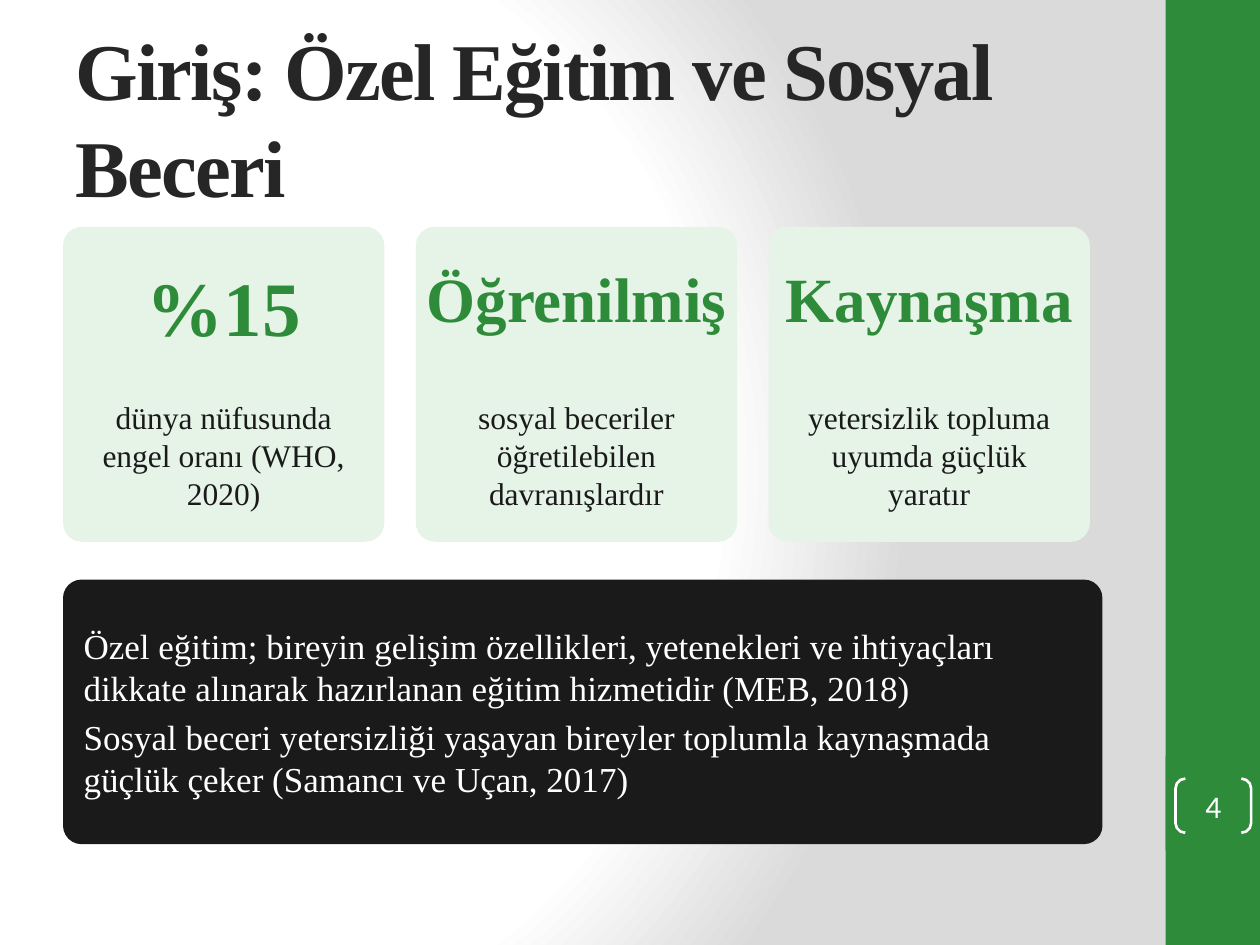
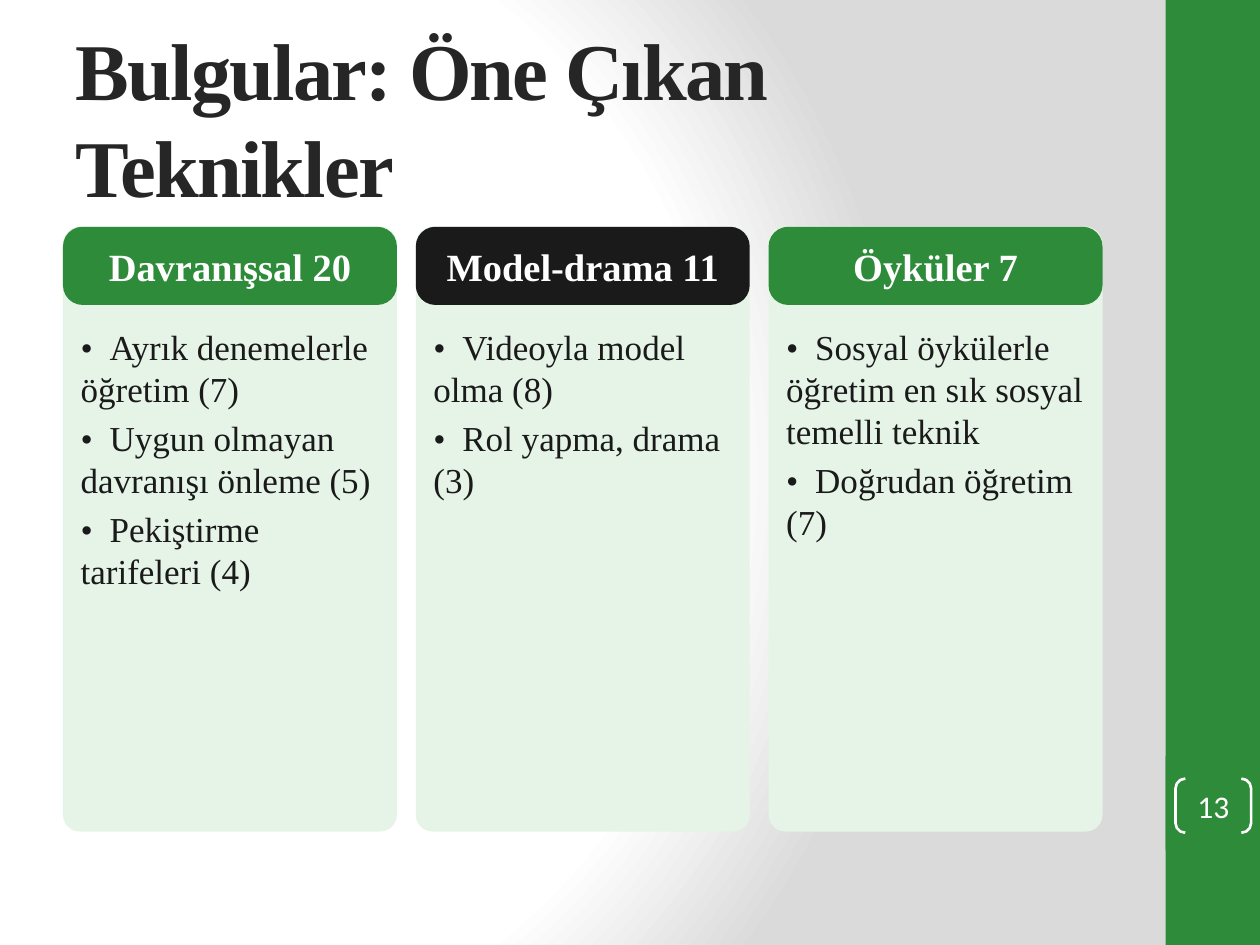
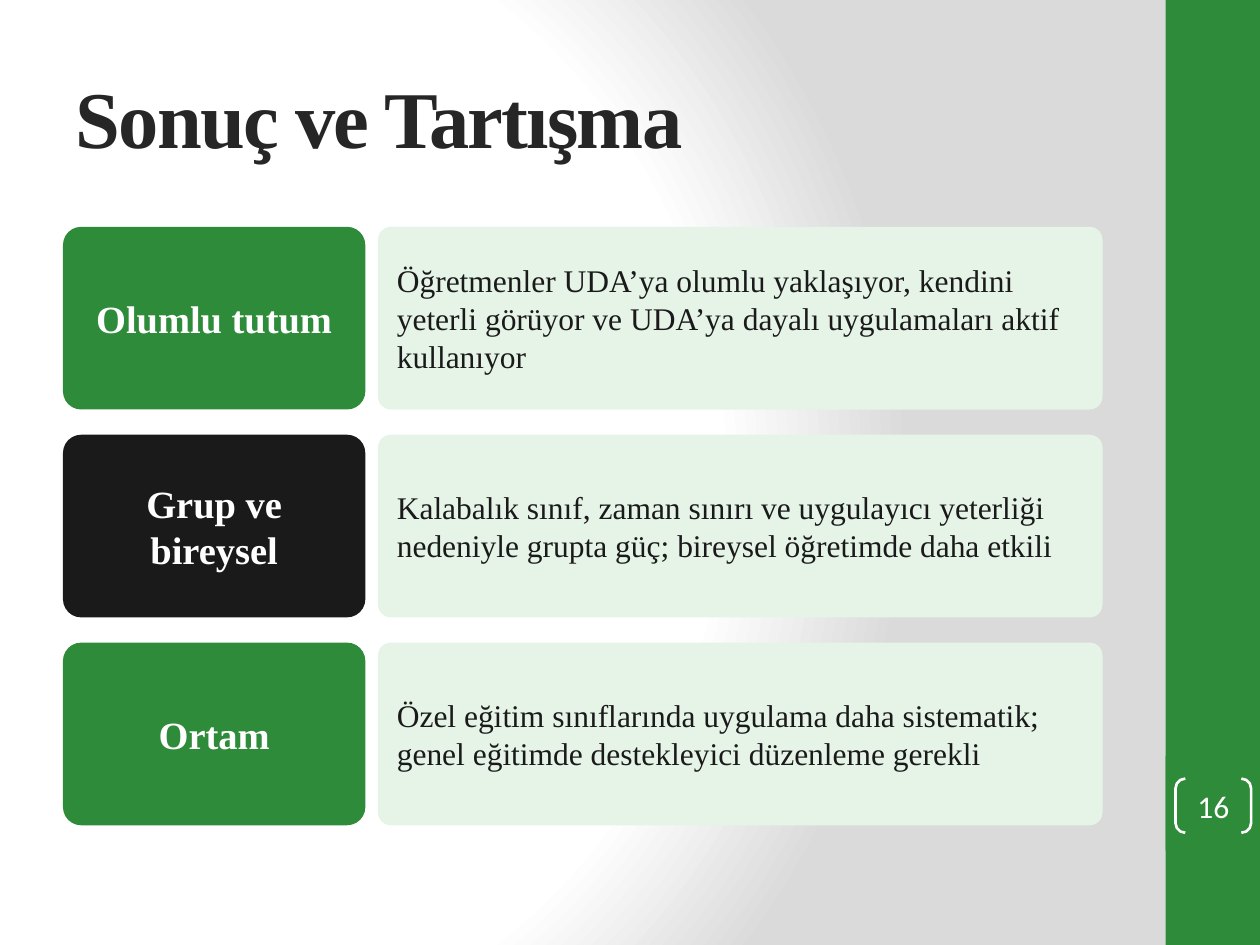
"""Builds three slides on special education and social skills."""
import lxml.etree
import pptx
import pptx.dml.color
import pptx.enum.shapes
import pptx.enum.text
import pptx.oxml
import pptx.oxml.ns
import pptx.util

PX = 9144
GREEN, DARK, PALE, WHITE = "2E8B3A", "1A1A1A", "E6F4E8", "FFFFFF"
TITLE_COLOR, GRAY = "262626", "DADADA"
SERIF, SANS = "Times New Roman", "Calibri"
LEFT, TOP, COLUMN_STEP = 50, 180, 280
SHAPES = pptx.enum.shapes.MSO_SHAPE
ALIGN = pptx.enum.text.PP_ALIGN
ANCHOR = pptx.enum.text.MSO_ANCHOR
BACKGROUND = f"""<a:gradFill {pptx.oxml.ns.nsdecls("a")} rotWithShape="1"><a:gsLst>
<a:gs pos="0"><a:srgbClr val="{WHITE}"/></a:gs>
<a:gs pos="75000"><a:srgbClr val="{WHITE}"/></a:gs>
<a:gs pos="100000"><a:srgbClr val="{GRAY}"/></a:gs></a:gsLst>
<a:path path="circle"><a:fillToRect l="20000" t="50000" r="100000" b="50000"/></a:path>
</a:gradFill>"""


def color(hex_string):
    """Return the colour for a hex string."""
    return pptx.dml.color.RGBColor.from_string(hex_string)


def emu(*lengths):
    """Turn px lengths into EMU."""
    return [length * PX for length in lengths]


def style_font(paragraph, size, text_color, bold=False, name=SERIF):
    """Set the font of a paragraph."""
    font = paragraph.font
    font.name, font.size, font.bold = name, pptx.util.Pt(size), bold
    font.color.rgb = color(text_color)


def write(shape, lines, size, text_color, bold=False, align=ALIGN.LEFT,
          anchor=ANCHOR.TOP, insets=(12, 6), name=SERIF, space_after=4, tab=None):
    """Fill a shape with one paragraph for each line."""
    frame = shape.text_frame
    frame.word_wrap, frame.vertical_anchor = True, anchor
    frame.margin_left = frame.margin_right = insets[0] * PX
    frame.margin_top = frame.margin_bottom = insets[1] * PX
    frame.text = "\n".join(lines)
    for paragraph in frame.paragraphs:
        if tab:
            tabs = lxml.etree.SubElement(paragraph._p.get_or_add_pPr(), pptx.oxml.ns.qn("a:tabLst"))
            lxml.etree.SubElement(tabs, pptx.oxml.ns.qn("a:tab"), pos=str(tab * PX), algn="l")
        paragraph.alignment = align
        paragraph.space_after = pptx.util.Pt(space_after)
        style_font(paragraph, size, text_color, bold, name)


def add_box(slide, box, fill, corner=None):
    """Add a plain rectangle, rounded when a corner ratio is given."""
    kind = SHAPES.ROUNDED_RECTANGLE if corner else SHAPES.RECTANGLE
    shape = slide.shapes.add_shape(kind, *emu(*box))
    shape.shadow.inherit = False
    shape.fill.solid()
    shape.fill.fore_color.rgb = color(fill)
    shape.line.fill.background()
    if corner:
        shape.adjustments[0] = corner
    return shape


def add_text(slide, box, lines, size, text_color, **options):
    """Add a text box."""
    write(slide.shapes.add_textbox(*emu(*box)), lines, size, text_color, **options)


def style_master(presentation, slide):
    """Give the master its background and green side band."""
    master = presentation.slide_master
    master.background.fill.gradient()
    gradient = master.element.find(".//" + pptx.oxml.ns.qn("a:gradFill"))
    gradient.getparent().replace(gradient, pptx.oxml.parse_xml(BACKGROUND))
    for box in ((925, 0, 75, 750), (925, 600, 75, 75)):
        master.element.cSld.spTree.append(add_box(slide, box, GREEN).element)


def add_slide(presentation, title_text, number):
    """Add a slide with its title and bracketed page number."""
    slide = presentation.slides.add_slide(presentation.slide_layouts[5])
    title = slide.shapes.title
    title.left, title.top, title.width, title.height = emu(50, 30, 833, 125)
    write(title, [title_text], 46, TITLE_COLOR, bold=True, anchor=ANCHOR.MIDDLE,
          insets=(10, 5), space_after=0)
    title.text_frame.auto_size = pptx.enum.text.MSO_AUTO_SIZE.NONE
    title.text_frame.paragraphs[0].runs[0].font._element.set("spc", "-100")
    bracket = slide.shapes.add_shape(SHAPES.DOUBLE_BRACKET, *emu(933, 618, 60, 43))
    bracket.shadow.inherit = False
    bracket.fill.background()
    bracket.line.color.rgb = color(WHITE)
    bracket.line.width = pptx.util.Pt(1.5)
    bracket.adjustments[0] = 0.18
    write(bracket, [str(number)], 18, WHITE, align=ALIGN.CENTER, anchor=ANCHOR.MIDDLE,
          insets=(0, 0), name=SANS, space_after=0)
    return slide


def add_fact_card(slide, box, headline, size, caption):
    """Add a pale card with a big word above a caption."""
    left, top, width, _ = box
    add_box(slide, box, PALE, 0.06)
    add_text(slide, (left, top + 20, width, 100), [headline], size, GREEN, bold=True,
             align=ALIGN.CENTER, insets=(5, 6))
    add_text(slide, (left + 10, top + 130, width - 20, 110), [caption], 18, DARK,
             align=ALIGN.CENTER, insets=(5, 6))


def add_technique_column(slide, box, heading, fill, items):
    """Add a column with a coloured heading and a list."""
    left, top, width, height = box
    add_box(slide, box, PALE, 0.05)
    write(add_box(slide, (left, top, width, 62), fill, 0.25), [heading], 22, WHITE,
          bold=True, align=ALIGN.CENTER, anchor=ANCHOR.MIDDLE)
    add_text(slide, (left + 8, top + 72, width - 16, height - 80),
             ["•\t" + item for item in items], 20, DARK, insets=(6, 6), tab=23)


def add_result_row(slide, box, label, fill, statement):
    """Add a coloured label beside a pale statement."""
    left, top, width, height = box
    write(add_box(slide, (left, top, 240, height), fill, 0.1), [label], 22, WHITE,
          bold=True, align=ALIGN.CENTER, anchor=ANCHOR.MIDDLE)
    write(add_box(slide, (left + 250, top, width - 250, height), PALE, 0.07),
          [statement], 18, DARK, anchor=ANCHOR.MIDDLE)


def build_introduction(slide):
    """Place three fact cards above a dark summary."""
    facts = [
        ("%15", 44, "dünya nüfusunda engel oranı (WHO, 2020)"),
        ("Öğrenilmiş", 36, "sosyal beceriler öğretilebilen davranışlardır"),
        ("Kaynaşma", 36, "yetersizlik topluma uyumda güçlük yaratır"),
    ]
    for index, fact in enumerate(facts):
        add_fact_card(slide, (LEFT + index * COLUMN_STEP, TOP, 255, 250), *fact)
    write(add_box(slide, (LEFT, 460, 825, 210), DARK, 0.07), [
        "Özel eğitim; bireyin gelişim özellikleri, yetenekleri ve ihtiyaçları dikkate "
        "alınarak hazırlanan eğitim hizmetidir (MEB, 2018)",
        "Sosyal beceri yetersizliği yaşayan bireyler toplumla kaynaşmada güçlük çeker "
        "(Samancı ve Uçan, 2017)",
    ], 20, WHITE, anchor=ANCHOR.MIDDLE)


def build_techniques(slide):
    """Place three technique columns."""
    columns = [
        ("Davranışsal 20", GREEN, ["Ayrık denemelerle öğretim (7)",
                                   "Uygun olmayan davranışı önleme (5)",
                                   "Pekiştirme tarifeleri (4)"]),
        ("Model-drama 11", DARK, ["Videoyla model olma (8)", "Rol yapma, drama (3)"]),
        ("Öyküler 7", GREEN, ["Sosyal öykülerle öğretim en sık sosyal temelli teknik",
                              "Doğrudan öğretim (7)"]),
    ]
    for index, column in enumerate(columns):
        add_technique_column(slide, (LEFT + index * COLUMN_STEP, TOP, 265, 480), *column)


def build_results(slide):
    """Place three result rows."""
    rows = [
        ("Olumlu tutum", GREEN, "Öğretmenler UDA’ya olumlu yaklaşıyor, kendini yeterli "
                                "görüyor ve UDA’ya dayalı uygulamaları aktif kullanıyor"),
        ("Grup ve bireysel", DARK, "Kalabalık sınıf, zaman sınırı ve uygulayıcı yeterliği "
                                   "nedeniyle grupta güç; bireysel öğretimde daha etkili"),
        ("Ortam", GREEN, "Özel eğitim sınıflarında uygulama daha sistematik; genel eğitimde "
                         "destekleyici düzenleme gerekli"),
    ]
    for index, row in enumerate(rows):
        add_result_row(slide, (LEFT, TOP + index * 165, 825, 145), *row)


def main():
    """Build and save the presentation."""
    presentation = pptx.Presentation()
    presentation.slide_width, presentation.slide_height = emu(1000, 750)
    pages = [
        ("Giriş: Özel Eğitim ve Sosyal Beceri", 4, build_introduction),
        ("Bulgular: Öne Çıkan Teknikler", 13, build_techniques),
        ("Sonuç ve Tartışma", 16, build_results),
    ]
    for title_text, number, build in pages:
        build(add_slide(presentation, title_text, number))
    style_master(presentation, presentation.slides[0])
    presentation.save("out.pptx")


if __name__ == "__main__":
    main()
